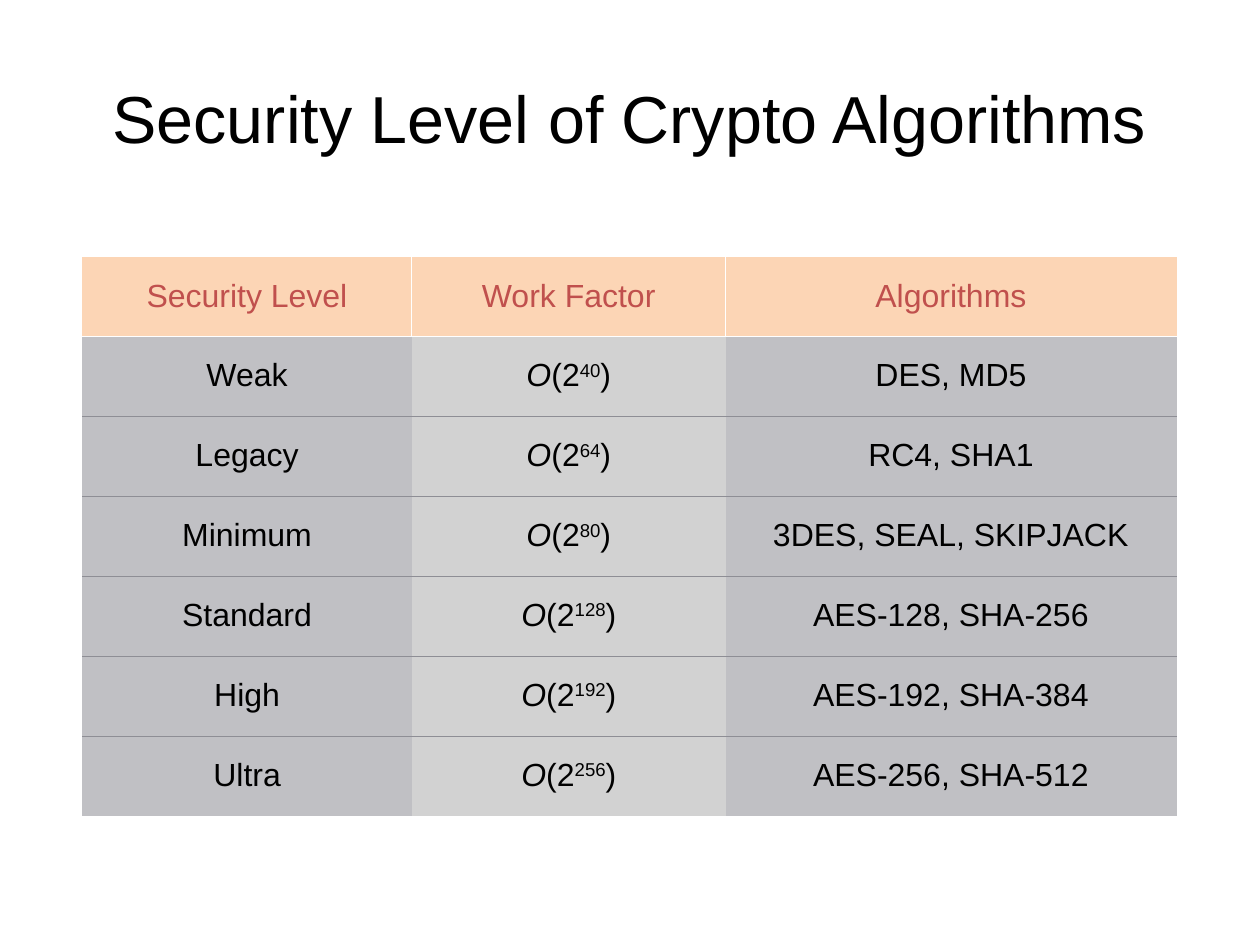
from pptx import Presentation
from pptx import util as u
from pptx.dml.color import RGBColor
from pptx.enum import text
from pptx.oxml import parse_xml
from pptx.oxml.ns import nsdecls


def hue(code):
    return RGBColor.from_string(code)


class Deck:
    """Holds the style and the current slide."""

    face = "Arial"
    ink, accent = "000000", "C0504D"
    head, side, mid = "FCD5B5", "C0C0C4", "D2D2D2"
    white, rule = "FFFFFF", "8E8E95"

    def __init__(self, wide, high):
        self.prs = Presentation()
        self.prs.slide_width, self.prs.slide_height = u.Cm(wide), u.Cm(high)
        self.slide = self.prs.slides.add_slide(self.prs.slide_layouts[6])

    def style(self, para, size, color):
        para.alignment = text.PP_ALIGN.CENTER
        font = para.font
        font.name, font.size = self.face, u.Pt(size)
        font.color.rgb = hue(color)

    def title(self, words, *box):
        frame = self.slide.shapes.add_textbox(*map(u.Cm, box)).text_frame
        frame.word_wrap = True
        frame.vertical_anchor = text.MSO_ANCHOR.MIDDLE
        para = frame.paragraphs[0]
        para.add_run().text = words
        self.style(para, 54, self.ink)

    def edge(self, cell, side, color):
        fill = f'<a:solidFill><a:srgbClr val="{color}"/></a:solidFill>' if color else "<a:noFill/>"
        cell._tc.get_or_add_tcPr().append(parse_xml(
            f'<a:ln{side} {nsdecls("a")} w="12700">{fill}</a:ln{side}>'))

    def power(self, para, exp):
        for part in ("O", "(2", exp, ")"):
            run = para.add_run()
            run.text = part
            if part == "O":
                run.font.italic = True
            elif part == exp:
                run._r.get_or_add_rPr().set("baseline", "30000")

    def cell(self, cell, row, col, rows, cols, words):
        top = row == 0
        inner = self.white if top else None
        above = None if top else self.white if row == 1 else self.rule
        below = self.white if top else self.rule if row < rows - 1 else None
        self.edge(cell, "L", inner if col else None)
        self.edge(cell, "R", inner if col < cols - 1 else None)
        self.edge(cell, "T", above)
        self.edge(cell, "B", below)
        cell.fill.solid()
        cell.fill.fore_color.rgb = hue(
            self.head if top else self.mid if col == 1 else self.side)
        cell.vertical_anchor = text.MSO_ANCHOR.MIDDLE
        cell.margin_left = cell.margin_right = u.Cm(0.28)
        cell.margin_top = cell.margin_bottom = u.Cm(0.15)
        para = cell.text_frame.paragraphs[0]
        if col == 1 and not top:
            self.power(para, words)
        else:
            para.add_run().text = words
        para.line_spacing = 0.95
        self.style(para, 26, self.accent if top else self.ink)

    def table(self, data, left, top, widths, high):
        rows, cols = len(data), len(widths)
        grid = self.slide.shapes.add_table(
            rows, cols, u.Cm(left), u.Cm(top),
            u.Cm(sum(widths)), u.Cm(high * rows)).table
        grid.first_row = grid.horz_banding = False
        for col, width in zip(grid.columns, widths):
            col.width = u.Cm(width)
        for r, line in enumerate(data):
            grid.rows[r].height = u.Cm(high)
            for c, words in enumerate(line):
                self.cell(grid.cell(r, c), r, c, rows, cols, words)


def main():
    deck = Deck(36.12, 27.1)
    deck.title("Security Level of Crypto Algorithms", 1.8, 1.1, 32.5, 4.52)
    levels = [
        ("Security Level", "Work Factor", "Algorithms"),
        ("Weak", "40", "DES, MD5"),
        ("Legacy", "64", "RC4, SHA1"),
        ("Minimum", "80", "3DES, SEAL, SKIPJACK"),
        ("Standard", "128", "AES-128, SHA-256"),
        ("High", "192", "AES-192, SHA-384"),
        ("Ultra", "256", "AES-256, SHA-512"),
    ]
    deck.table(levels, 2.36, 7.37, (9.45, 8.99, 12.93), 2.29)
    deck.prs.save("out.pptx")


if __name__ == "__main__":
    main()
